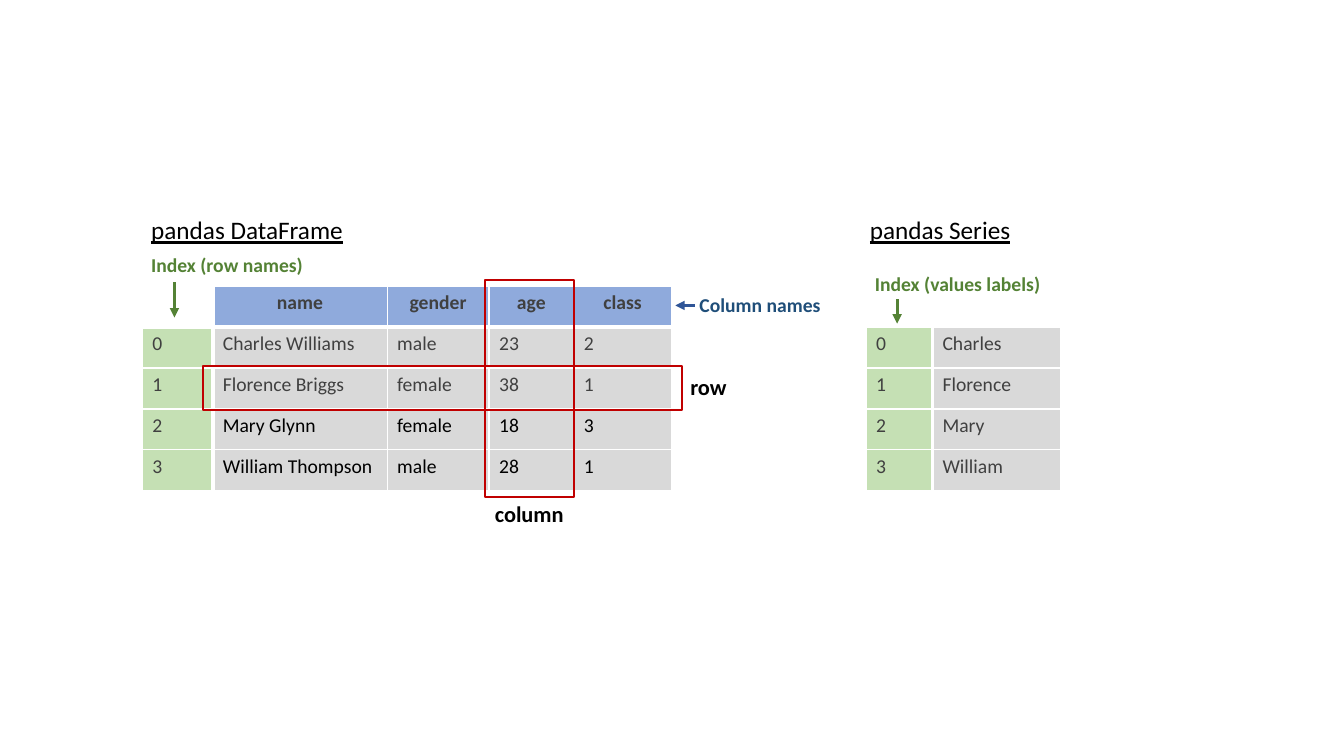
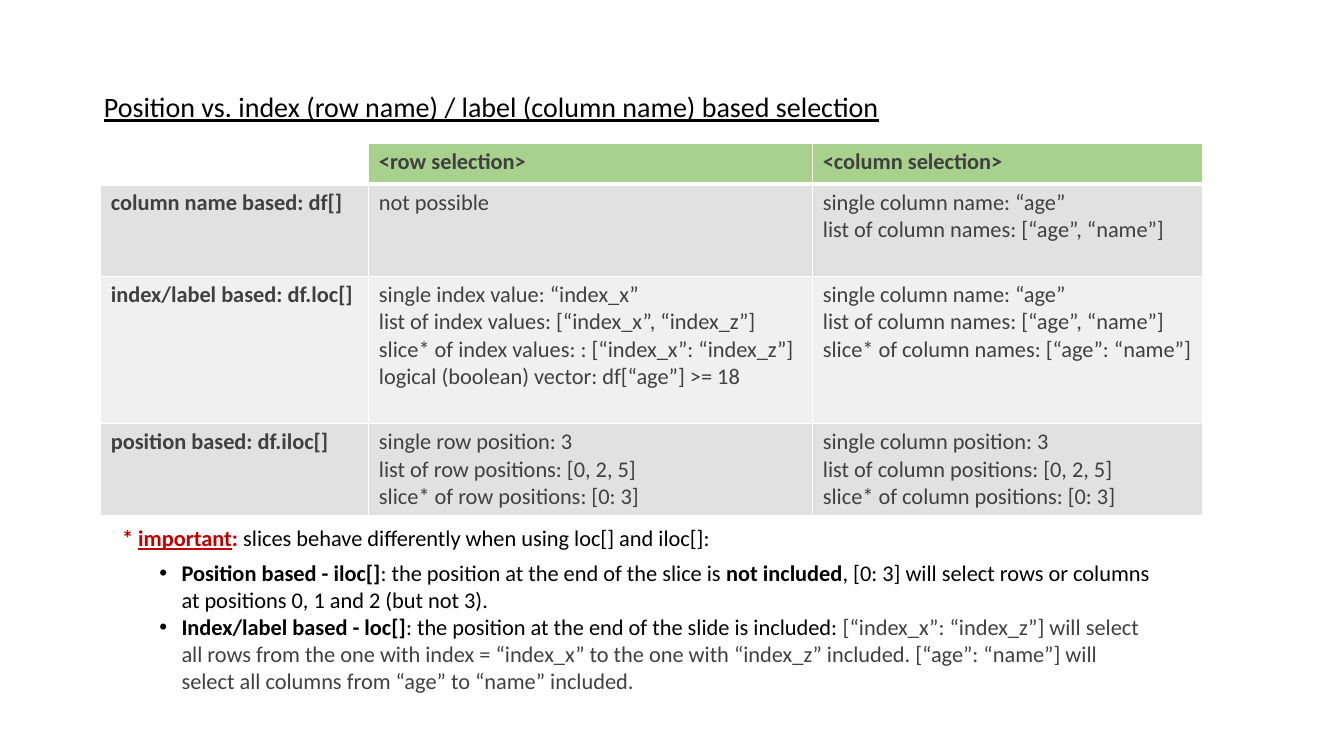
"""Two slides on pandas data structures and on selecting rows and columns."""
from dataclasses import dataclass
from typing import Optional, Sequence

import pptx
import pptx.dml.color
import pptx.enum.shapes
import pptx.enum.text
import pptx.oxml
import pptx.oxml.ns
import pptx.util
from pptx.dml.color import RGBColor

FONT = "Calibri"
WHITE = RGBColor(0xFF, 0xFF, 0xFF)
BLACK = RGBColor(0x00, 0x00, 0x00)
GREY_INK = RGBColor(0x40, 0x40, 0x40)
RED = RGBColor(0xC0, 0x00, 0x00)
GREEN = RGBColor(0x54, 0x82, 0x35)
BLUE = RGBColor(0x2F, 0x55, 0x97)
NAVY = RGBColor(0x1F, 0x4E, 0x79)
HEADER_BLUE = RGBColor(0x8F, 0xAA, 0xDC)
HEADER_GREEN = RGBColor(0xA9, 0xD1, 0x8E)
INDEX_GREEN = RGBColor(0xC5, 0xE0, 0xB4)
VALUE_GREY = RGBColor(0xD9, 0xD9, 0xD9)
BAND_DARK = RGBColor(0xE1, 0xE1, 0xE1)
BAND_LIGHT = RGBColor(0xF0, 0xF0, 0xF0)

SLIDE_WIDTH = pptx.util.Inches(13.33)
SLIDE_HEIGHT = pptx.util.Inches(7.5)
ROW = 5.41  # table row, in percent of the slide's height
LEFT, CENTER = pptx.enum.text.PP_ALIGN.LEFT, pptx.enum.text.PP_ALIGN.CENTER


@dataclass(frozen=True)
class Box:
    """A place in percent of the slide's width and height."""
    left: float
    top: float
    width: float
    height: float


@dataclass(frozen=True)
class Label:
    """A line of text with its place and look."""
    text: str
    box: Box
    size: int
    ink: RGBColor = BLACK
    bold: bool = False
    underline: bool = False


@dataclass(frozen=True)
class Arrow:
    """A straight arrow, ends in percent of the slide."""
    start: tuple[float, float]
    end: tuple[float, float]
    ink: RGBColor


@dataclass(frozen=True)
class Cell:
    """A table cell; each line of its text is a paragraph."""
    text: str = ""
    fill: Optional[RGBColor] = None
    ink: RGBColor = GREY_INK
    bold: bool = False
    align: pptx.enum.text.PP_ALIGN = LEFT


@dataclass(frozen=True)
class Grid:
    """A table: place, column widths and row heights in percent."""
    left: float
    top: float
    widths: Sequence[float]
    heights: Sequence[float]
    cells: Sequence[Sequence[Cell]]
    size: int
    has_header: bool = True
    has_index: bool = True


@dataclass(frozen=True)
class Phrase:
    """A stretch of text within a note."""
    text: str
    ink: RGBColor = BLACK
    bold: bool = False
    underline: bool = False


def across(percent: float) -> int:
    """Length for a share of the slide's width."""
    return round(SLIDE_WIDTH * percent / 100)


def down(percent: float) -> int:
    """Length for a share of the slide's height."""
    return round(SLIDE_HEIGHT * percent / 100)


def place(box: Box) -> tuple[int, int, int, int]:
    """Left, top, width and height of a box."""
    return across(box.left), down(box.top), across(box.width), down(box.height)


def move(shape, box: Box) -> None:
    """Put a placeholder at a box."""
    shape.left, shape.top, shape.width, shape.height = place(box)


def style(font, size: int, ink: RGBColor, bold: bool, underline: bool = False) -> None:
    """Set the look of a paragraph's or a run's font."""
    font.name, font.size = FONT, pptx.util.Pt(size)
    font.bold, font.underline = bold, underline
    font.color.rgb = ink


def prepare(frame) -> None:
    """Make a text frame wrap, start at the top and keep its size."""
    frame.word_wrap = True
    frame.auto_size = pptx.enum.text.MSO_AUTO_SIZE.NONE
    frame.vertical_anchor = pptx.enum.text.MSO_ANCHOR.TOP


def write_label(shape, label: Label) -> None:
    """Fill a text shape with a label."""
    prepare(shape.text_frame)
    line = shape.text_frame.paragraphs[0]
    line.text, line.alignment = label.text, LEFT
    style(line.font, label.size, label.ink, label.bold, label.underline)


def add_title(slide, label: Label) -> None:
    """Write a label into the slide's title."""
    move(slide.shapes.title, label.box)
    write_label(slide.shapes.title, label)


def add_label(slide, label: Label) -> None:
    """Add a label in a text box."""
    write_label(slide.shapes.add_textbox(*place(label.box)), label)


def add_frame(slide, box: Box) -> None:
    """Add a red outline that marks a part of a table."""
    outline = slide.shapes.add_shape(
        pptx.enum.shapes.MSO_SHAPE.RECTANGLE, *place(box))
    outline.shadow.inherit = False
    outline.fill.background()
    outline.line.color.rgb = RED
    outline.line.width = pptx.util.Pt(1.5)


def add_arrow(slide, arrow: Arrow) -> None:
    """Add a line with an arrowhead at its end."""
    (x1, y1), (x2, y2) = arrow.start, arrow.end
    pointer = slide.shapes.add_connector(
        pptx.enum.shapes.MSO_CONNECTOR.STRAIGHT,
        across(x1), down(y1), across(x2), down(y2))
    pointer.line.color.rgb = arrow.ink
    pointer.line.width = pptx.util.Pt(2.25)
    head = pptx.oxml.parse_xml(
        f'<a:tailEnd {pptx.oxml.ns.nsdecls("a")} type="triangle"/>')
    pointer.line._get_or_add_ln().append(head)
    pointer._element.spPr.append(
        pptx.oxml.parse_xml(f'<a:effectLst {pptx.oxml.ns.nsdecls("a")}/>'))


def add_borders(cell, heavy: str) -> None:
    """Draw white cell borders, 3 pt on the heavy sides and 1 pt elsewhere."""
    for side in "LRTB":
        width = pptx.util.Pt(3 if side in heavy else 1)
        cell._tc.get_or_add_tcPr().append(pptx.oxml.parse_xml(
            f'<a:ln{side} {pptx.oxml.ns.nsdecls("a")} w="{width}"><a:solidFill>'
            f'<a:srgbClr val="{WHITE}"/></a:solidFill></a:ln{side}>'))


def heavy_sides(grid: Grid, row: int, column: int) -> str:
    """Sides of a cell that touch the header row or the index column."""
    sides = {0: "B", 1: "T"}.get(row, "") if grid.has_header else ""
    return sides + ({0: "R", 1: "L"}.get(column, "") if grid.has_index else "")


def add_grid(slide, grid: Grid) -> None:
    """Add a table."""
    box = Box(grid.left, grid.top, sum(grid.widths), sum(grid.heights))
    table = slide.shapes.add_table(
        len(grid.heights), len(grid.widths), *place(box)).table
    table.first_row = table.horz_banding = False
    for column, width in zip(table.columns, grid.widths):
        column.width = across(width)
    for r, (row, height) in enumerate(zip(table.rows, grid.heights)):
        row.height = down(height)
        for c, (target, cell) in enumerate(zip(row.cells, grid.cells[r])):
            add_borders(target, heavy_sides(grid, r, c))
            if cell.fill is None:
                target.fill.background()
            else:
                target.fill.solid()
                target.fill.fore_color.rgb = cell.fill
            target.text_frame.text = cell.text
            for line in target.text_frame.paragraphs:
                line.alignment = cell.align
                style(line.font, grid.size, cell.ink, cell.bold)


def add_notes(body, box: Box, notes: Sequence[Sequence[Phrase]], size: int) -> None:
    """Write an opening line and the bulleted notes under it."""
    move(body, box)
    prepare(body.text_frame)
    for number, phrases in enumerate(notes):
        frame = body.text_frame
        note = frame.add_paragraph() if number else frame.paragraphs[0]
        note.space_before = pptx.util.Pt(0)
        properties = note._p.get_or_add_pPr()
        margin, indent = (0.59, -0.22) if number else (0, 0)
        properties.set("marL", str(pptx.util.Inches(margin)))
        properties.set("indent", str(pptx.util.Inches(indent)))
        mark = 'buChar char="•"' if number else "buNone"
        properties.append(
            pptx.oxml.parse_xml(f'<a:{mark} {pptx.oxml.ns.nsdecls("a")}/>'))
        if not number:
            note.space_after = pptx.util.Pt(6)
        for phrase in phrases:
            run = note.add_run()
            run.text = phrase.text
            style(run.font, size, phrase.ink, phrase.bold, phrase.underline)


def build_structures(slide) -> None:
    """Draw the DataFrame and the Series with their parts named."""
    table_top = 37.87
    people = [("Charles Williams", "male", "23", "2"),
              ("Florence Briggs", "female", "38", "1"),
              ("Mary Glynn", "female", "18", "3"),
              ("William Thompson", "male", "28", "1")]
    header = [Cell()] + [Cell(name, HEADER_BLUE, bold=True, align=CENTER)
                         for name in ("name", "gender", "age", "class")]
    index = [Cell(str(number), INDEX_GREEN) for number in range(len(people))]
    records = [[index[n]] + [Cell(value, VALUE_GREY, GREY_INK if n < 2 else BLACK)
                             for value in person]
               for n, person in enumerate(people)]
    first_names = [[index[n], Cell(person[0].split()[0], VALUE_GREY)]
                   for n, person in enumerate(people)]

    add_title(slide, Label("pandas DataFrame", Box(10.5, 27.73, 18.98, 5.33), 18,
                           underline=True))
    add_grid(slide, Grid(10.58, table_top, (5.25, 12.98, 7.58, 6.3, 7.28),
                         [ROW] * 5, [header] + records, 14))
    add_grid(slide, Grid(64.43, table_top + ROW, (4.95, 9.52), [ROW] * 4,
                         first_names, 14, has_header=False))
    for box in (Box(15.08, 48.4, 35.7, 5.87), Box(36.08, 37.07, 6.6, 28.67)):
        add_frame(slide, box)
    for label in (
            Label("pandas Series", Box(63.98, 27.73, 15.38, 5.33), 18, underline=True),
            Label("row", Box(50.63, 48.67, 7.43, 4.93), 16, bold=True),
            Label("column", Box(36.08, 65.47, 7.43, 4.93), 16, bold=True),
            Label("Column names", Box(51.3, 38.13, 10.95, 4.53), 14, NAVY, True),
            Label("Index (row names)", Box(10.5, 32.8, 15.45, 4.53), 14, GREEN, True),
            Label("Index (values labels)", Box(64.35, 35.33, 13.95, 4.53), 14,
                  GREEN, True)):
        add_label(slide, label)
    for arrow in (Arrow((12.98, 37.33), (12.98, 42), GREEN),
                  Arrow((51.68, 40.4), (50.25, 40.4), BLUE),
                  Arrow((66.75, 39.6), (66.75, 42.8), GREEN)):
        add_arrow(slide, arrow)


def build_selection(slide) -> None:
    """Compare the ways of selecting rows and columns."""
    names = "single column name: “age”\nlist of column names: [“age”, “name”]"
    positions = ("single {0} position: 3\nlist of {0} positions: [0, 2, 5]\n"
                 "slice* of {0} positions: [0: 3]")
    methods = [
        ("column name based: df[]", "not possible", names),
        ("index/label based: df.loc[]",
         "single index value: “index_x”\n"
         "list of index values: [“index_x”, “index_z”]\n"
         "slice* of index values: : [“index_x”: “index_z”]\n"
         "logical (boolean) vector: df[“age”] >= 18",
         names + "\nslice* of column names: [“age”: “name”]"),
        ("position based: df.iloc[]",
         positions.format("row"), positions.format("column"))]
    header = [Cell()] + [Cell(f"<{part} selection>", HEADER_GREEN, bold=True)
                         for part in ("row", "column")]
    rows = [[Cell(text, BAND_LIGHT if n % 2 else BAND_DARK, bold=c == 0)
             for c, text in enumerate(method)] for n, method in enumerate(methods)]
    notes = [
        [Phrase("* ", RED, True), Phrase("important", RED, True, True),
         Phrase(": ", RED, True),
         Phrase("slices behave differently when using loc[] and iloc[]:")],
        [Phrase("Position based - iloc[]", bold=True),
         Phrase(": the position at the end of the slice is "),
         Phrase("not included", bold=True),
         Phrase(", [0: 3] will select rows or columns at positions 0, 1 and 2 "
                "(but not 3).")],
        [Phrase("Index/label based - loc[]", bold=True),
         Phrase(": the position at the end of the slide is included: "),
         Phrase("[“index_x”: “index_z”] will select all rows from the one with "
                "index = “index_x” to the one with “index_z” included. [“age”: "
                "“name”] will select all columns from “age” to “name” included. ",
                GREY_INK)]]

    add_title(slide, Label(
        "Position vs. index (row name) / label (column name) based selection",
        Box(6.98, 11.2, 65.93, 5.87), 20, underline=True))
    add_grid(slide, Grid(7.5, 18.93, (19.95, 33.03, 29.03), (ROW, 12.2, 19.5, 12.2),
                         [header] + rows, 16, has_index=False))
    add_notes(slide.placeholders[1], Box(8.33, 68.67, 78.3, 24), notes, 16)


deck = pptx.Presentation()
deck.slide_width, deck.slide_height = SLIDE_WIDTH, SLIDE_HEIGHT
TITLE_AND_BODY, TITLE_ONLY = deck.slide_layouts[1], deck.slide_layouts[5]
build_structures(deck.slides.add_slide(TITLE_ONLY))
build_selection(deck.slides.add_slide(TITLE_AND_BODY))
deck.save("out.pptx")
